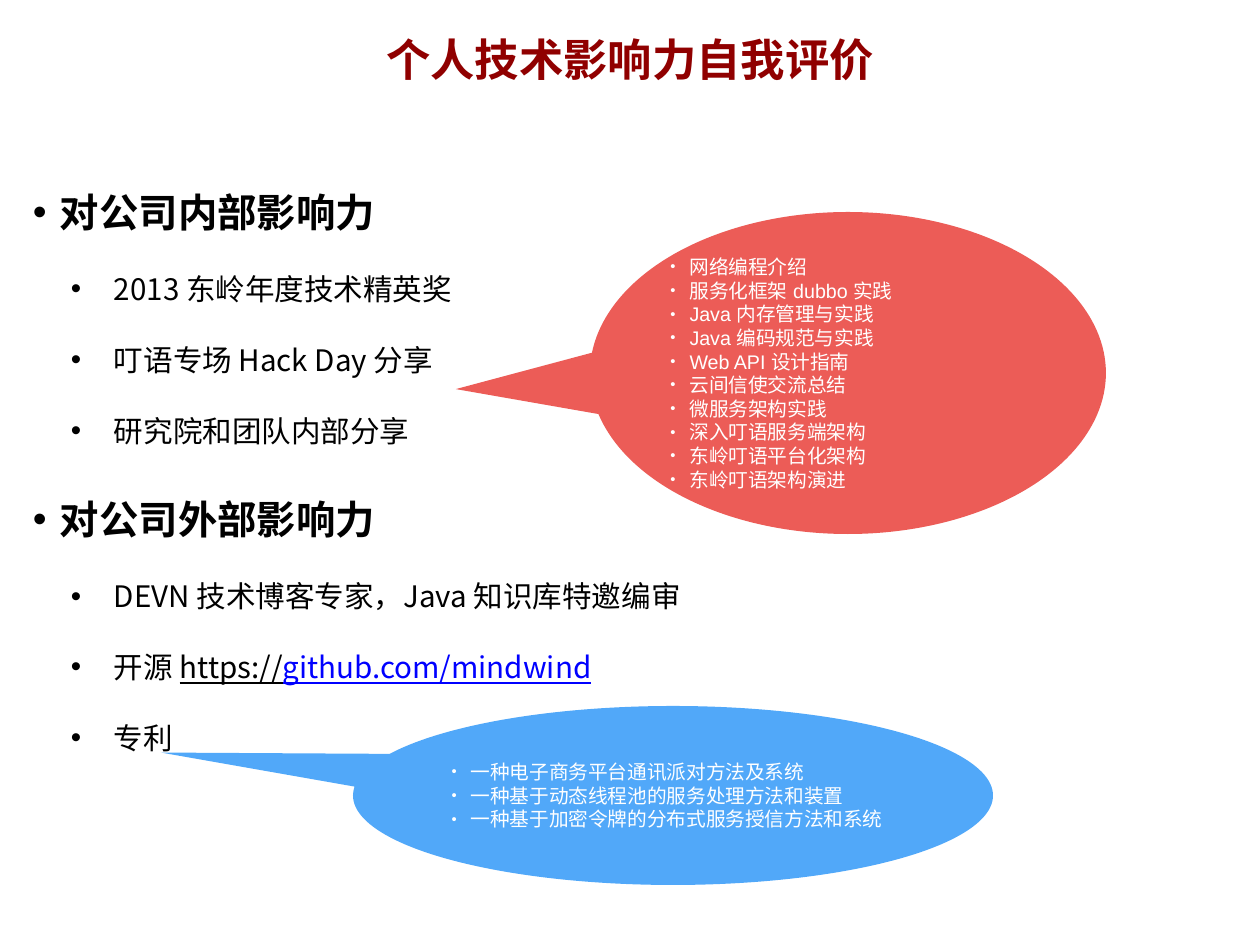
from lxml.etree import SubElement as Sub
from pptx import Presentation
from pptx.dml.color import RGBColor as Rgb
from pptx.enum.shapes import MSO_SHAPE as Kind
from pptx.enum.text import MSO_ANCHOR as Anchor, MSO_AUTO_SIZE as Fit, PP_ALIGN as Align
from pptx.oxml.ns import qn
from pptx.util import Pt

SCALE = 10320


def px(n):
    return n * SCALE


def tint(code):
    return Rgb.from_string(code)


def write(para, text, size=24, face="Noto Sans CJK SC", color="000000", bold=False, line=False):
    run = para.add_run()
    run.text = text
    font = run.font
    font.size = Pt(size)
    font.bold = bold
    font.underline = line
    font.color.rgb = tint(color)
    font.name = face
    Sub(font._element, qn("a:ea"), typeface=face)


class Deck:
    sans = "Noto Sans CJK SC"
    inset = 5

    def __init__(self, wide, high):
        self.prs = Presentation()
        self.prs.slide_width = px(wide)
        self.prs.slide_height = px(high)
        self.slide = self.prs.slides.add_slide(self.prs.slide_layouts[6])

    def frame(self, shape, anchor=Anchor.TOP):
        body = shape.text_frame
        body.word_wrap = True
        body.vertical_anchor = anchor
        body.margin_left = body.margin_right = px(self.inset)
        body.margin_top = body.margin_bottom = px(self.inset)
        return body

    def box(self, *area):
        body = self.frame(self.slide.shapes.add_textbox(*map(px, area)))
        body.auto_size = Fit.SHAPE_TO_FIT_TEXT
        return body

    def title(self, text, *area):
        para = self.box(*area).paragraphs[0]
        para.alignment = Align.CENTER
        write(para, text, size=36, color="900000", bold=True)

    def bullet(self, body, first, left, hang, ratio=100):
        para = body.paragraphs[0] if first else body.add_paragraph()
        para.alignment = Align.LEFT
        props = para._p.get_or_add_pPr()
        props.set("marL", str(px(left)))
        props.set("indent", str(px(-hang)))
        Sub(props, qn("a:buSzPct"), val=str(ratio * 1000))
        Sub(props, qn("a:buFont"), typeface="Arial")
        Sub(props, qn("a:buChar"), char="•")
        return para

    def outline(self, groups, *area):
        body = self.box(*area)
        for n, (head, items) in enumerate(groups):
            para = self.bullet(body, n == 0, 27, 27)
            para.line_spacing = 2.0
            write(para, head, size=32, bold=True)
            for runs in items:
                para = self.bullet(body, False, 81, 43)
                para.level = 1
                para.line_spacing = 2.0
                for text, style in runs:
                    write(para, text, **style)

    def callout(self, lines, color, tip, *area):
        shape = self.slide.shapes.add_shape(Kind.OVAL_CALLOUT, *map(px, area))
        shape.shadow.inherit = False
        shape.fill.solid()
        shape.fill.fore_color.rgb = tint(color)
        shape.line.fill.background()
        shape.adjustments[0], shape.adjustments[1] = tip
        body = self.frame(shape, Anchor.MIDDLE)
        for n, text in enumerate(lines):
            para = self.bullet(body, n == 0, 19, 19, 75)
            write(para, text, size=16, face="Arial", color="FFFFFF")

    def save(self):
        self.prs.save("out.pptx")


def plain(*lines):
    return [[(text, {})] for text in lines]


def main():
    deck = Deck(1260, 945)
    deck.title("个人技术影响力自我评价", 220, 27, 820, 73)

    inner = plain("2013 东岭年度技术精英奖", "叮语专场 Hack Day 分享", "研究院和团队内部分享")
    link = [
        ("开源 ", {}),
        ("https://", {"line": True}),
        ("github.com/mindwind", {"line": True, "color": "0000FF"}),
    ]
    outer = plain("DEVN 技术博客专家，Java 知识库特邀编审") + [link] + plain("专利")
    groups = [("对公司内部影响力", inner), ("对公司外部影响力", outer)]
    deck.outline(groups, 28, 136, 699, 631)

    talks = [
        "网络编程介绍",
        "服务化框架 dubbo 实践",
        "Java 内存管理与实践",
        "Java 编码规范与实践",
        "Web API 设计指南",
        "云间信使交流总结",
        "微服务架构实践",
        "深入叮语服务端架构",
        "东岭叮语平台化架构",
        "东岭叮语架构演进",
    ]
    deck.callout(talks, "EC5C57", (-0.76, 0.05), 590, 212, 516, 322)

    claims = [
        "一种电子商务平台通讯派对方法及系统",
        "一种基于动态线程池的服务处理方法和装置",
        "一种基于加密令牌的分布式服务授信方法和系统",
    ]
    deck.callout(claims, "51A8F9", (-0.8, -0.24), 353, 706, 640, 179)
    deck.save()


if __name__ == "__main__":
    main()
